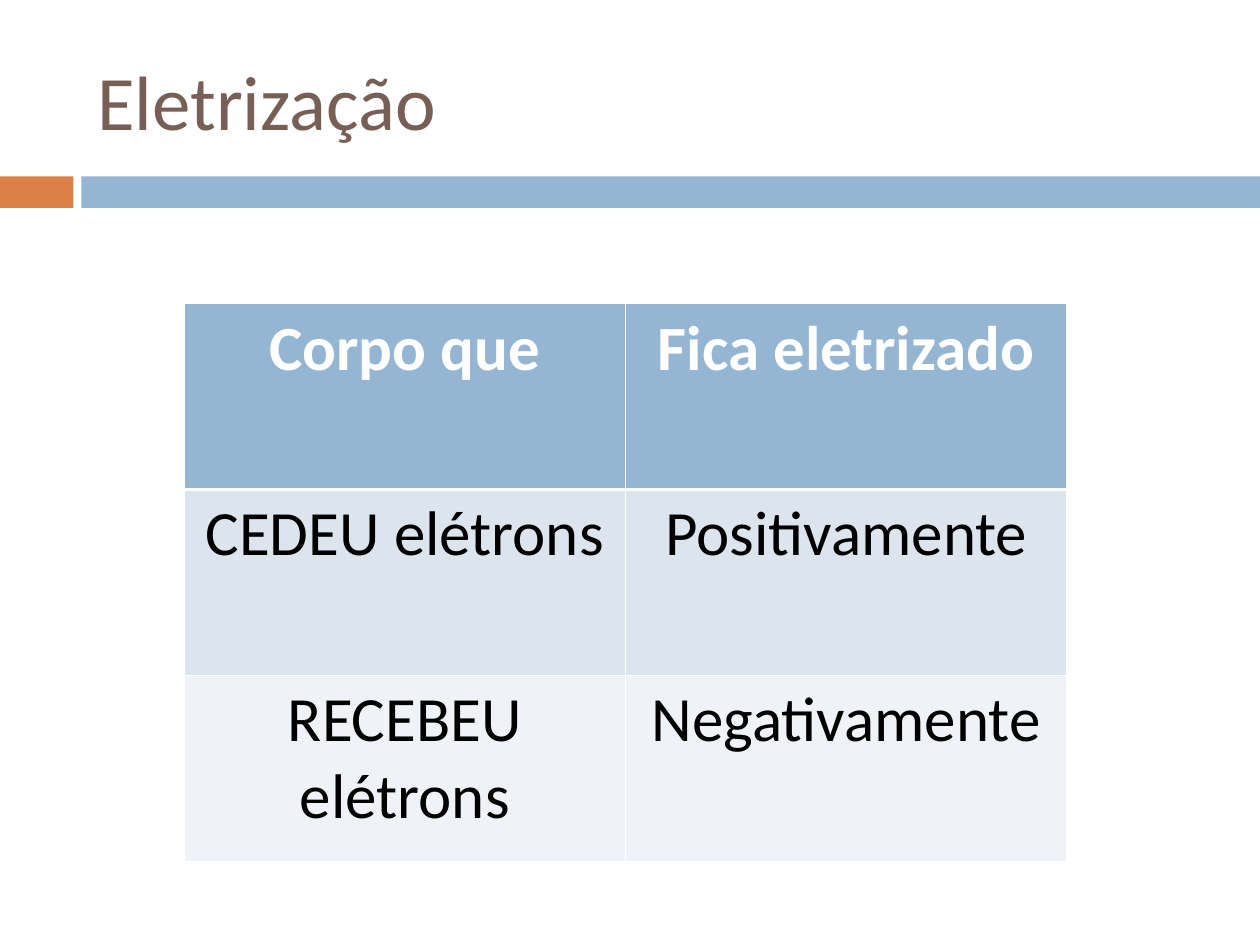
from dataclasses import dataclass

from lxml.etree import SubElement
from pptx import Presentation
from pptx.dml.color import RGBColor
from pptx.enum.shapes import MSO_SHAPE
from pptx.enum.text import MSO_ANCHOR, PP_ALIGN
from pptx.oxml.ns import qn
from pptx.util import Pt

WHITE = RGBColor(0xFF, 0xFF, 0xFF)
BLACK = RGBColor(0x00, 0x00, 0x00)
BROWN = RGBColor(0x77, 0x5F, 0x55)
ORANGE = RGBColor(0xDD, 0x80, 0x47)
BLUE = RGBColor(0x94, 0xB6, 0xD2)
LIGHT_BLUE = RGBColor(0xDC, 0xE5, 0xEE)
PALE_BLUE = RGBColor(0xEF, 0xF3, 0xF7)

FONT = "Calibri"
THIN, THICK = 0.45, 1.47


@dataclass
class Band:
    left: float
    width: float
    color: RGBColor


@dataclass
class ChargeRow:
    texts: tuple[str, str]
    fill: RGBColor
    color: RGBColor = BLACK
    bold: bool = False
    top_border: float = THIN
    bottom_border: float = THIN


BANDS = [Band(0, 42, ORANGE), Band(46.5, 673.5, BLUE)]
ROWS = [
    ChargeRow(("Corpo que", "Fica eletrizado"), BLUE, WHITE, True, bottom_border=THICK),
    ChargeRow(("CEDEU elétrons", "Positivamente"), LIGHT_BLUE, top_border=THICK),
    ChargeRow(("RECEBEU elétrons", "Negativamente"), PALE_BLUE),
]
COLUMN_WIDTHS = (252.5, 252)
ROW_HEIGHT = 106.2


def format_text(paragraph, size: float, color: RGBColor, bold: bool = False) -> None:
    for run in paragraph.runs:
        run.font.name = FONT
        run.font.size = Pt(size)
        run.font.bold = bold
        run.font.color.rgb = color


def draw_band(slide, band: Band) -> None:
    bar = slide.shapes.add_shape(
        MSO_SHAPE.RECTANGLE, Pt(band.left), Pt(100.8), Pt(band.width), Pt(18))
    bar.shadow.inherit = False
    bar.fill.solid()
    bar.fill.fore_color.rgb = band.color
    bar.line.fill.background()


def draw_title(slide, title: str) -> None:
    heading = slide.shapes.add_textbox(Pt(48.5), Pt(18), Pt(642), Pt(78)).text_frame
    heading.word_wrap = True
    heading.vertical_anchor = MSO_ANCHOR.MIDDLE
    heading.text = title
    format_text(heading.paragraphs[0], 44, BROWN)


def set_borders(cell, widths: dict[str, float]) -> None:
    properties = cell._tc.get_or_add_tcPr()
    # Borders must precede the cell fill in the XML
    for position, (side, width) in enumerate(widths.items()):
        border = SubElement(properties, qn(f"a:{side}"), w=str(int(Pt(width))))
        SubElement(SubElement(border, qn("a:solidFill")), qn("a:srgbClr"), val=str(WHITE))
        properties.insert(position, border)


def draw_cell(cell, text: str, row: ChargeRow) -> None:
    cell.fill.solid()
    cell.fill.fore_color.rgb = row.fill
    cell.text_frame.text = text
    paragraph = cell.text_frame.paragraphs[0]
    paragraph.alignment = PP_ALIGN.CENTER
    format_text(paragraph, 36, row.color, row.bold)
    set_borders(cell, {"lnL": THIN, "lnR": THIN,
                       "lnT": row.top_border, "lnB": row.bottom_border})


def draw_table(slide, rows: list[ChargeRow]) -> None:
    table = slide.shapes.add_table(
        len(rows), len(COLUMN_WIDTHS), Pt(105.1), Pt(173.5),
        Pt(sum(COLUMN_WIDTHS)), Pt(ROW_HEIGHT * len(rows))).table
    for column, width in zip(table.columns, COLUMN_WIDTHS):
        column.width = Pt(width)
    for table_row, row in zip(table.rows, rows):
        table_row.height = Pt(ROW_HEIGHT)
        for cell, text in zip(table_row.cells, row.texts):
            draw_cell(cell, text, row)


def main() -> None:
    deck = Presentation()
    deck.slide_width, deck.slide_height = Pt(720), Pt(540)
    slide = deck.slides.add_slide(deck.slide_layouts[6])

    # Header
    for band in BANDS:
        draw_band(slide, band)
    draw_title(slide, "Eletrização")

    # Charge table
    draw_table(slide, ROWS)

    deck.save("out.pptx")


if __name__ == "__main__":
    main()
